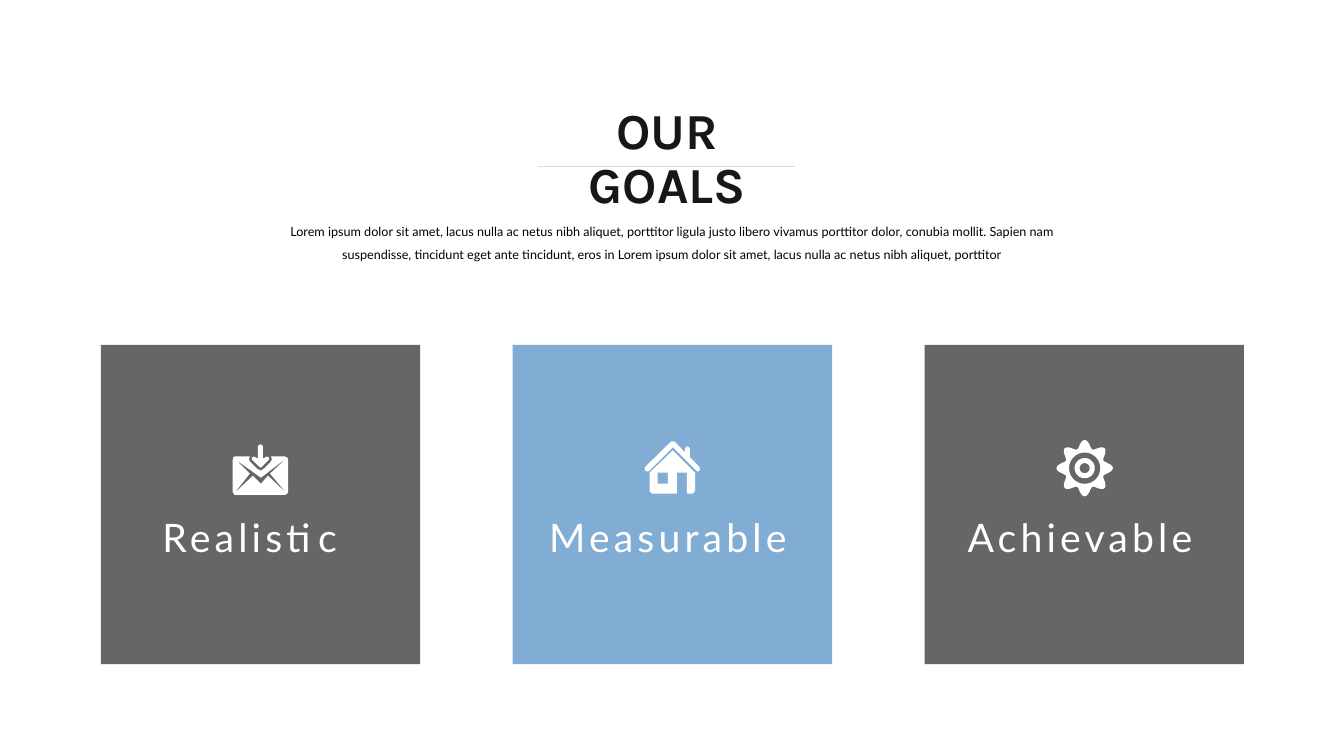
from math import cos, pi, sin

from lxml import etree
from pptx import Presentation
from pptx.dml.color import RGBColor
from pptx.enum.shapes import MSO_CONNECTOR, MSO_SHAPE
from pptx.enum.text import PP_ALIGN
from pptx.oxml.ns import qn
from pptx.util import Cm, Pt

CENTER, LEFT = PP_ALIGN.CENTER, PP_ALIGN.LEFT
RECTANGLE, STRAIGHT = MSO_SHAPE.RECTANGLE, MSO_CONNECTOR.STRAIGHT

# Content
TITLE = "OUR GOALS"
INTRO = ("Lorem ipsum dolor sit amet, lacus nulla ac netus nibh aliquet, porttitor "
         "ligula justo libero vivamus porttitor dolor, conubia mollit. Sapien nam "
         "suspendisse, tincidunt eget ante tincidunt, eros in Lorem ipsum dolor sit "
         "amet, lacus nulla ac netus nibh aliquet, porttitor")
GRAY, BLUE, WHITE = "000000", "2E75B6", "FFFFFF"


def ring(radius, wave=0, teeth=8, steps=96):
    """Closed outline around the gear's centre, waved to form teeth."""
    angles = [2 * pi * step / steps for step in range(steps)]
    radii = [radius + wave * cos(teeth * angle) for angle in angles]
    return [(28 + r * cos(a), 27.5 + r * sin(a)) for r, a in zip(radii, angles)]


# Icon outlines, in hundredths of an inch from the icon's corner
ENVELOPE = [
    [(54, 49), (37, 29), (54, 13), (55, 15), (55, 47)],
    [(1, 49), (0, 47), (0, 15), (1, 13), (17, 29)],
    [(0, 13), (2, 12), (17, 12), (16, 15), (18, 18), (24, 24), (28, 26),
     (31, 24), (37, 18), (39, 15), (38, 12), (52, 12), (54, 13), (28, 33)],
    [(29, 22), (28, 23), (26, 22), (20, 16), (19, 15), (19, 13), (21, 12),
     (23, 13), (25, 14), (25, 2), (26, 0.5), (27.5, 0), (29, 0.5), (30, 2),
     (30, 14), (32, 13), (34, 12), (36, 13), (36, 15), (35, 16)],
    [(28, 39), (35, 31), (54, 49), (52, 50), (2, 50), (1, 49), (20, 31)],
]
HOUSE = [
    [(55, 27), (54.5, 29), (53, 30), (51, 29), (28, 6), (5, 29), (3, 30),
     (0.5, 29), (0, 27), (1, 25), (26, 0.5), (28, 0), (30, 0.5), (40, 11),
     (40, 8), (41, 6), (42.5, 5), (44, 6), (45, 8), (45, 16), (54, 25)],
    [(50, 31), (50, 49), (49, 51), (47, 52), (42, 52), (42, 31), (32, 31),
     (32, 52), (8, 52), (6, 51), (5, 49), (5, 31), (28, 9)],
    [(23, 31), (13, 31), (13, 42), (23, 42)],
]
GEAR = [ring(24, wave=4), ring(15.5), ring(10), ring(5)]

# Label, label width, card colour, icon, icon top
GOALS = [
    ("Realistic", 5.44, GRAY, ENVELOPE, 11.2),
    ("Measurable", 6.71, BLUE, HOUSE, 11.12),
    ("Achievable", 6.38, GRAY, GEAR, 11.1),
]

# Layout in centimetres
CARD_LEFT, CARD_TOP, CARD_SIZE, CARD_PITCH = 2.54, 8.69, 8.05, 10.38
ICON_WIDTH, ICON_UNIT = 1.4, 0.0254
LABEL_TOP, LABEL_HEIGHT = 12.95, 1.07


def color(hex_code):
    return RGBColor.from_string(hex_code)


def paint(shape, hex_code):
    shape.fill.solid()
    shape.fill.fore_color.rgb = color(hex_code)
    shape.line.fill.background()
    shape.shadow.inherit = False


def add_text(text, left, top, width, height, size, font_name, hex_code,
             align=LEFT, line_spacing=0.9, before=10, bold=False):
    box = slide.shapes.add_textbox(Cm(left), Cm(top), Cm(width), Cm(height))
    box.text_frame.word_wrap = True
    paragraph = box.text_frame.paragraphs[0]
    paragraph.text = text
    paragraph.alignment = align
    paragraph.line_spacing = line_spacing
    paragraph.space_before = Pt(before)
    font = paragraph.font
    font.size, font.name, font.bold = Pt(size), font_name, bold
    font.color.rgb = color(hex_code)
    return paragraph


def add_card(left, hex_code):
    card = slide.shapes.add_shape(RECTANGLE, Cm(left), Cm(CARD_TOP),
                                  Cm(CARD_SIZE), Cm(CARD_SIZE))
    paint(card, hex_code)
    fill_color = card.fill._xPr.find(qn("a:solidFill"))[0]
    etree.SubElement(fill_color, qn("a:alpha"), val="60000")


def add_icon(outlines, left, top):
    placed = [[(Cm(left + x * ICON_UNIT), Cm(top + y * ICON_UNIT))
               for x, y in outline] for outline in outlines]
    builder = slide.shapes.build_freeform(*placed[0][0])
    for index, points in enumerate(placed):
        if index:
            builder.move_to(*points[0])
        builder.add_line_segments(points[1:], close=True)
    paint(builder.convert_to_shape(), WHITE)


presentation = Presentation()
presentation.slide_width, presentation.slide_height = Cm(33.87), Cm(19.05)
slide = presentation.slides.add_slide(presentation.slide_layouts[6])

# Heading
add_text(TITLE, 13.31, 2.54, 7.01, 1.73, 36, "Karla", "181717", CENTER, bold=True)
add_text(INTRO, 6.22, 5.33, 21.41, 1.42, 9, "Lato", "000000", CENTER,
         line_spacing=1.5, before=0)

# Goal cards
for index, (label, label_width, fill, icon, icon_top) in enumerate(GOALS):
    card_left = CARD_LEFT + index * CARD_PITCH
    middle = card_left + CARD_SIZE / 2
    add_card(card_left, fill)
    add_icon(icon, middle - ICON_WIDTH / 2, icon_top)
    paragraph = add_text(label, middle - label_width / 2, LABEL_TOP, label_width,
                         LABEL_HEIGHT, 28, "Lato", WHITE)
    paragraph.runs[0].font._element.set("spc", "300")

# Rule across the heading
rule = slide.shapes.add_connector(STRAIGHT, Cm(13.56), Cm(4.19), Cm(20.04), Cm(4.19))
rule.line.color.rgb = color("D9D9D9")
rule.line.width = Pt(0.1)
etree.SubElement(rule._element.spPr, qn("a:effectLst"))

presentation.save("out.pptx")
